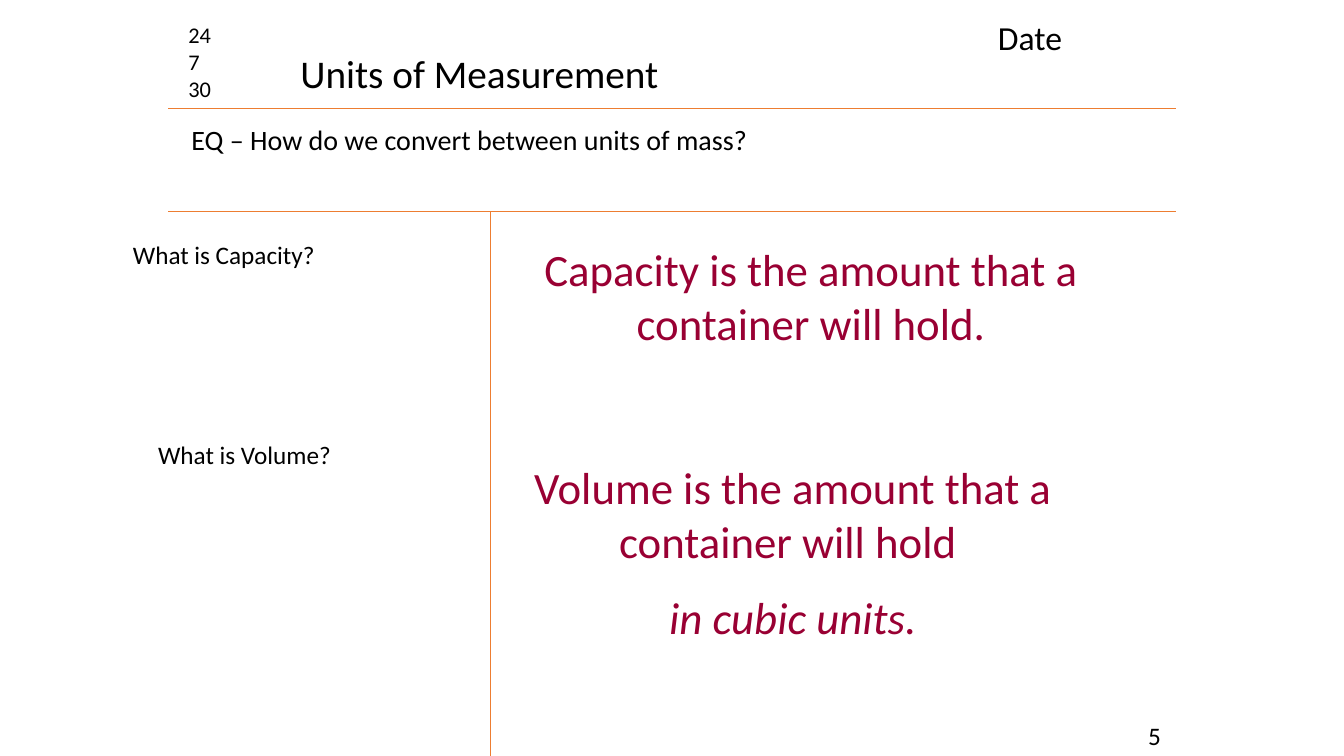
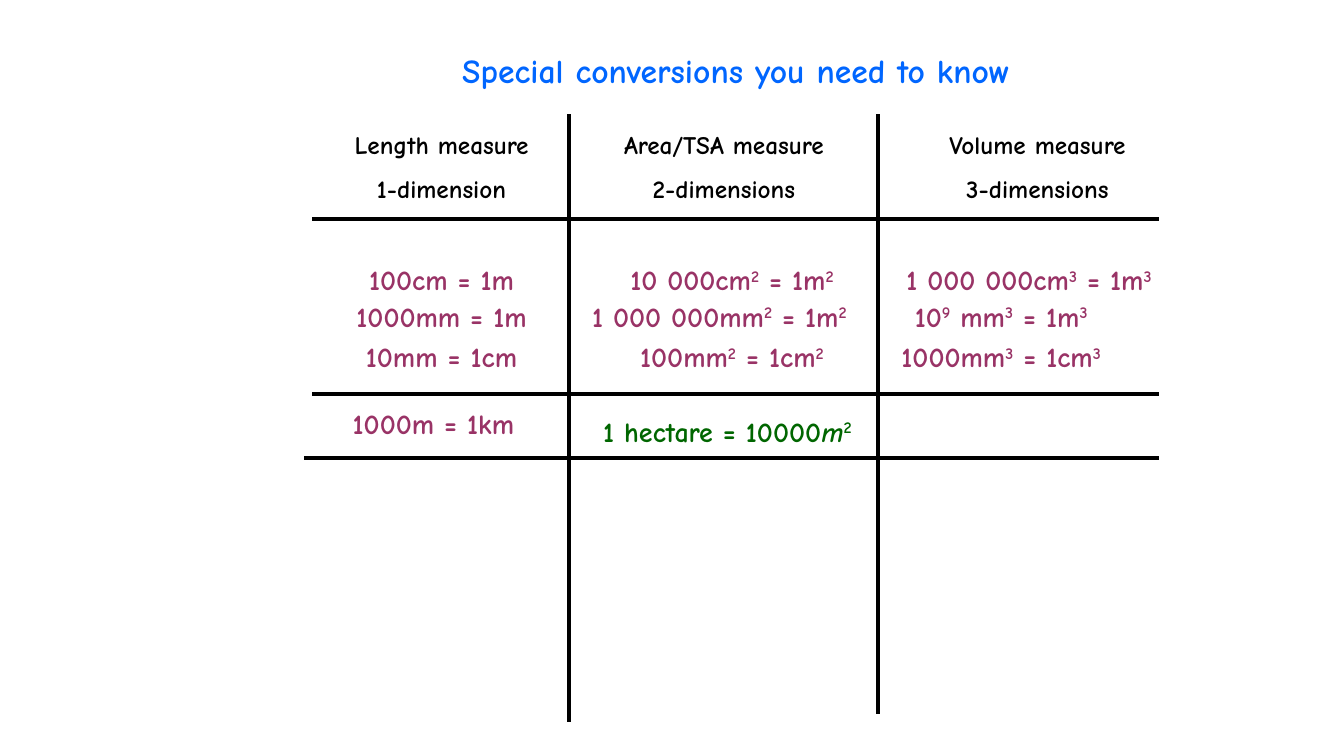
from lxml.etree import SubElement
from pptx import Presentation
from pptx.dml.color import RGBColor
from pptx.enum.shapes import MSO_CONNECTOR as Connector
from pptx.enum.text import MSO_ANCHOR as Anchor, MSO_AUTO_SIZE as AutoSize, PP_ALIGN as Align
from pptx.oxml.ns import qn
from pptx.util import Inches, Pt

COLORS = {
    "black": "000000",
    "orange": "ED7D31",
    "crimson": "990033",
    "blue": "0066FF",
    "plum": "993366",
    "green": "006600",
}
TITLE_ONLY = 5
MARKS = "^_"  # ^ raises the next character, _ slants it


def split_marks(text):
    """Yield (mark, piece) pairs; a mark applies to one character."""
    start = position = 0
    while position < len(text):
        if text[position] in MARKS:
            if position > start:
                yield "", text[start:position]
            yield text[position], text[position + 1]
            start = position = position + 2
        else:
            position += 1
    if start < len(text):
        yield "", text[start:]


def write_text(frame, text, font="Calibri", size=18, color="black",
               align=Align.LEFT, bold=False, italic_last=False, gap=0):
    """Fill a text frame, one paragraph for each line of text."""
    frame.word_wrap = True
    frame.auto_size = AutoSize.NONE
    frame.vertical_anchor = Anchor.TOP
    lines = text.split("\n")
    for index, line in enumerate(lines):
        paragraph = frame.add_paragraph() if index else frame.paragraphs[0]
        paragraph.alignment = align
        paragraph.space_before = Pt(gap if index else 0)
        for mark, piece in split_marks(line):
            run = paragraph.add_run()
            run.text = piece
            run.font.name = font
            run.font.size = Pt(size)
            run.font.bold = bold
            run.font.italic = mark == "_" or (italic_last and index == len(lines) - 1)
            run.font.color.rgb = RGBColor.from_string(COLORS[color])
            if mark == "^":
                run.font._element.set("baseline", "30000")


class Deck:
    """Holds the presentation, the current slide and the text style."""

    def __init__(self):
        self.presentation = Presentation()
        self.presentation.slide_width = Inches(13.33)
        self.presentation.slide_height = Inches(7.5)

    def new_slide(self, **style):
        self.style = style
        layout = self.presentation.slide_layouts[TITLE_ONLY]
        self.slide = self.presentation.slides.add_slide(layout)

    def title(self, text, left, top, width, height, **changes):
        shape = self.slide.shapes.title
        shape.left, shape.top = Inches(left), Inches(top)
        shape.width, shape.height = Inches(width), Inches(height)
        write_text(shape.text_frame, text, **{**self.style, **changes})

    def text(self, text, left, top, width, height, **changes):
        box = self.slide.shapes.add_textbox(
            Inches(left), Inches(top), Inches(width), Inches(height))
        write_text(box.text_frame, text, **{**self.style, **changes})

    def line(self, x1, y1, x2, y2, color="black", weight=3):
        line = self.slide.shapes.add_connector(
            Connector.STRAIGHT, Inches(x1), Inches(y1), Inches(x2), Inches(y2))
        line.line.color.rgb = RGBColor.from_string(COLORS[color])
        line.line.width = Pt(weight)
        line.line._ln.set("cap", "sq")
        SubElement(line._element.spPr, qn("a:effectLst"))


def build_notes_page(deck):
    deck.new_slide(font="Calibri")
    deck.title("Units of Measurement", 2.88, 0.44, 4, 0.57, size=28)

    # Rules of the note-taking page
    for y in (1.08, 2.1):
        deck.line(1.67, y, 11.66, y, "orange", 0.5)
    deck.line(4.86, 2.1, 4.86, 7.5, "orange", 0.5)

    # Heading, essential question and page number
    deck.text("24\n7\n30", 1.77, 0.16, 0.63, 0.91, size=16)
    deck.text("Date", 9.8, 0.12, 1.73, 0.5, size=24)
    deck.text("EQ – How do we convert between units of mass?", 1.8, 1.17, 9.43, 0.44, size=20)
    deck.text("5", 11.29, 7.1, 0.6, 0.4)

    # Questions and answers
    answer = {"size": 32, "color": "crimson", "align": Align.CENTER, "gap": 16}
    deck.text("What is Capacity?", 1.22, 2.33, 3.63, 0.4)
    deck.text("Capacity is the amount that a container will hold.",
              4.96, 2.35, 6.17, 1.17, **answer)
    deck.text("What is Volume?", 1.47, 4.31, 3.03, 0.4)
    deck.text("Volume is the amount that a container will hold \nin cubic units.",
              4.78, 4.51, 6.17, 1.97, italic_last=True, **answer)


def build_conversions(deck):
    deck.new_slide(font="Comic Neue", bold=True, align=Align.CENTER)
    deck.title("Special conversions you need to know", 3.6, 0.44, 7.4, 0.5,
               size=24, color="blue")

    # Grid lines
    for x, bottom in ((5.64, 7.14), (8.71, 7.06)):
        deck.line(x, 1.15, x, bottom)
    for left, y in ((3.12, 2.17), (3.12, 3.91), (3.04, 4.54)):
        deck.line(left, y, 11.47, y)

    # Column headings
    for heading, left, width in (
            ("Length measure\n1-dimension", 3.2, 2.36),
            ("Area/TSA measure\n2-dimensions", 5.88, 2.6),
            ("Volume measure\n3-dimensions", 9.11, 2.36)):
        deck.text(heading, left, 1.23, width, 0.85, gap=10)

    # Conversions: top of each row, then text, left and width of each cell
    rows = (
        (2.56, (("100cm = 1m", 3.28, 2.2),
                ("10 000cm^2 = 1m^2", 5.96, 2.6),
                ("1 000 000cm^3 = 1m^3", 8.63, 3.15))),
        (2.92, (("1000mm = 1m", 3.28, 2.2),
                ("1 000 000mm^2 = 1m^2", 5.56, 3.15),
                ("10^9 mm^3 = 1m^3", 8.63, 2.6))),
        (3.32, (("10mm = 1cm", 3.28, 2.2),
                ("100mm^2 = 1cm^2", 5.96, 2.6),
                ("1000mm^3 = 1cm^3", 8.63, 2.6))),
        (3.98, (("1000m = 1km", 3.2, 2.2),)),
    )
    for top, cells in rows:
        for conversion, left, width in cells:
            deck.text(conversion, left, top, width, 0.43, size=20, color="plum")
    deck.text("1 hectare = 10000_m^2", 5.64, 4.06, 3.15, 0.43, size=20, color="green")


def main():
    deck = Deck()
    build_notes_page(deck)
    build_conversions(deck)
    deck.presentation.save("out.pptx")


if __name__ == "__main__":
    main()
